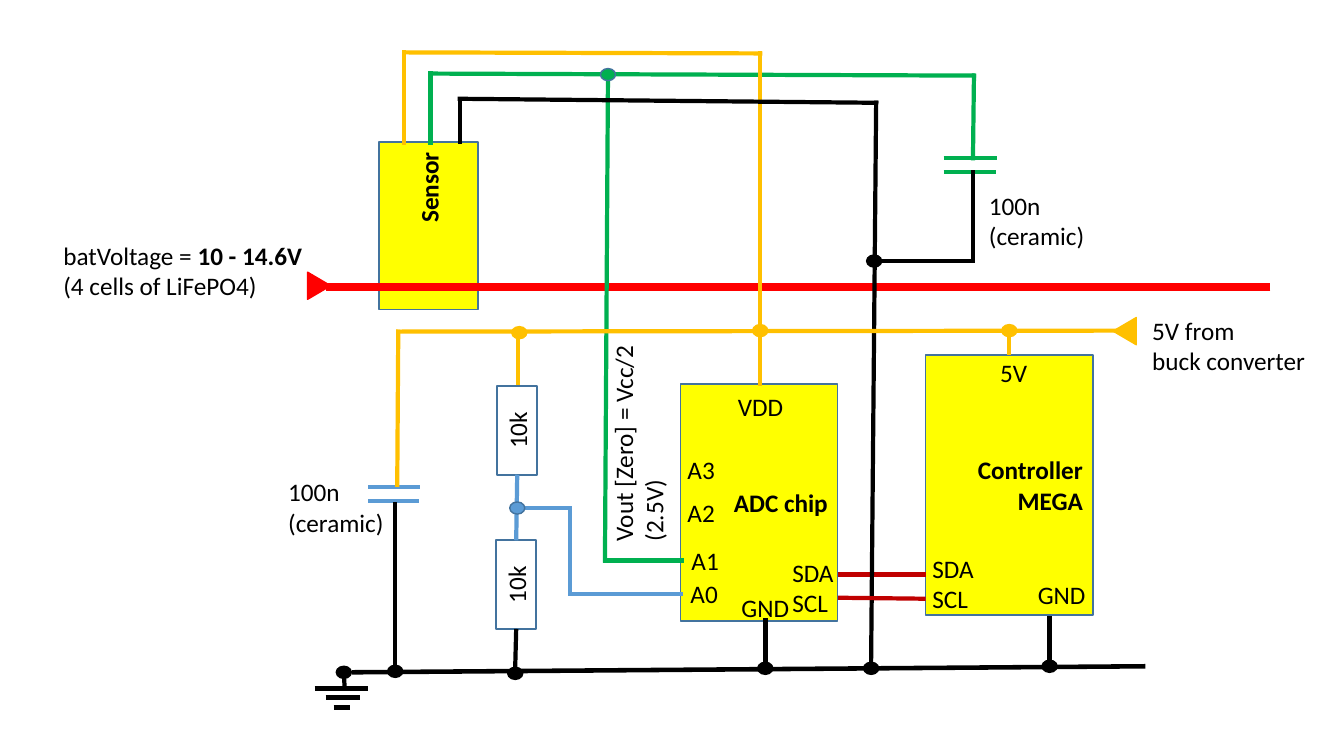
"""Builds a one-slide wiring diagram of a battery monitor."""
from lxml import etree
from pptx import Presentation
from pptx.dml.color import RGBColor
from pptx.enum.shapes import MSO_CONNECTOR, MSO_SHAPE
from pptx.enum.text import MSO_ANCHOR, MSO_AUTO_SIZE, PP_ALIGN
from pptx.oxml.ns import qn
from pptx.util import Inches, Pt

COLS, ROWS = 1333, 750
WIDTH, HEIGHT = Inches(13.33), Inches(7.5)
COLORS = {
    "black": "000000", "yellow": "FFFF00", "amber": "FFC000", "red": "FF0000",
    "crimson": "C00000", "green": "00B050", "blue": "5B9BD5", "edge": "43739E",
}
ALIGN = {"l": PP_ALIGN.LEFT, "c": PP_ALIGN.CENTER, "r": PP_ALIGN.RIGHT}

# text, (left, top, width, height), rotation, fill, line width
BOXES = [
    ("Controller MEGA", (918, 352, 166, 258), 0, "yellow", 1),
    ("Sensor", (342, 175, 166, 98), 270, "yellow", 1),
    ("ADC chip", (675, 381, 156, 235), 0, "yellow", 1),
    ("10k", (469, 407, 88, 40), 270, None, 1.5),
    ("10k", (468, 560, 88, 40), 270, None, 1.5),
]
# colour, width, corner points
WIRES = [
    ("blue", 3, [(520, 504), (565, 504), (565, 589), (675, 589)]),
    ("black", 3, [(512, 624), (511, 662)]),
    ("blue", 3, [(513, 471), (512, 536)]),
    ("black", 3.25, [(1041, 662), (1041, 611)]),
    ("black", 3.25, [(349, 667), (1136, 661)]),
    ("crimson", 3, [(831, 570), (918, 570)]),
    ("red", 6, [(1260, 285), (323, 285)]),
    ("amber", 3, [(514, 382), (514, 327)]),
    ("green", 3, [(427, 142), (427, 73), (966, 75), (965, 157)]),
    ("green", 3, [(603, 75), (600, 556), (676, 556)]),
    ("amber", 3, [(401, 142), (401, 52), (754, 53), (754, 325)]),
    ("black", 3, [(456, 141), (456, 98), (869, 102), (864, 657)]),
    ("crimson", 3, [(831, 593), (918, 594)]),
    ("black", 3.25, [(759, 664), (759, 613)]),
    ("blue", 3, [(365, 483), (417, 483)]),
    ("blue", 3, [(365, 497), (416, 497)]),
    ("black", 3, [(392, 665), (392, 498)]),
    ("green", 3, [(936, 157), (989, 157)]),
    ("green", 3, [(936, 171), (988, 171)]),
    ("black", 3, [(965, 171), (965, 259), (874, 259)]),
    ("amber", 3, [(394, 481), (395, 329), (1107, 328)]),
    ("amber", 3, [(754, 383), (754, 328)]),
    ("amber", 3, [(1001, 352), (1001, 330)]),
]
GROUND_BARS = [
    [(312, 683), (365, 683)], [(331, 702), (347, 702)],
    [(342, 685), (341, 667)], [(323, 692), (357, 692)],
]
GROUND_DOT = (341, 667)
# fill, line, centres
DOTS = [
    ("black", "black", [(511, 668), (1041, 661), (864, 663), (759, 663), (392, 666), (867, 259)]),
    ("amber", "amber", [(754, 328), (1001, 328), (515, 330)]),
    ("blue", "edge", [(513, 504)]),
    ("green", "edge", [(603, 74)]),
]
ARROWS = [("red", (303, 272, 27, 23), 90), ("amber", (1102, 317, 27, 23), 270)]
# lines, (left, top, width, height), alignment, rotation
LABELS = [
    ([["batVoltage = ", ("10 - 14.6V",)], "(4 cells of LiFePO4)"], (53, 233, 293, 71), "l", 0),
    (["GND"], (1015, 570, 76, 40), "c", 0),
    (["A0"], (675, 569, 52, 40), "l", 0),
    (["A1"], (676, 536, 52, 40), "l", 0),
    (["A2"], (672, 488, 52, 40), "l", 0),
    (["A3"], (672, 446, 52, 40), "l", 0),
    (["SDA", "SCL"], (915, 544, 123, 71), "l", 0),
    (["SDA", "SCL"], (776, 548, 123, 71), "l", 0),
    (["GND"], (721, 583, 76, 40), "c", 0),
    (["VDD"], (722, 383, 69, 40), "l", 0),
    (["5V"], (982, 350, 80, 40), "l", 0),
    (["100n", "(ceramic)"], (276, 468, 132, 71), "l", 0),
    (["100n", "(ceramic)"], (971, 184, 132, 71), "l", 0),
    (["Vout [Zero] = Vcc/2", "(2.5V)"], (525, 403, 217, 71), "l", 270),
    (["5V from", "buck converter"], (1133, 308, 177, 71), "l", 0),
]


def rgb(name):
    """Return a palette colour."""
    return RGBColor.from_string(COLORS[name])


def grid(*cells):
    """Turn alternating column and row counts into lengths."""
    return [round(c * (HEIGHT / ROWS if i % 2 else WIDTH / COLS)) for i, c in enumerate(cells)]


def write(sp, lines, align="l", bold=False, wrap=True, anchor=MSO_ANCHOR.TOP):
    """Write lines; a tuple inside a line is a bold run."""
    tf = sp.text_frame
    tf.word_wrap, tf.vertical_anchor = wrap, anchor
    for i, line in enumerate(lines):
        p = tf.add_paragraph() if i else tf.paragraphs[0]
        p.alignment = ALIGN[align]
        for part in [line] if isinstance(line, str) else line:
            strong = isinstance(part, tuple)
            r = p.add_run()
            r.text = part[0] if strong else part
            r.font.name, r.font.size = "Calibri", Pt(18)
            r.font.bold = bold or strong
            r.font.color.rgb = rgb("black")


def add_shape(shapes, kind, box, fill, line, width=1, rotation=0):
    """Add a flat preset shape."""
    sp = shapes.add_shape(kind, *grid(*box))
    sp.shadow.inherit = False
    sp.rotation = rotation
    if fill:
        sp.fill.solid()
        sp.fill.fore_color.rgb = rgb(fill)
    else:
        sp.fill.background()
    sp.line.color.rgb, sp.line.width = rgb(line), Pt(width)
    return sp


def add_dot(shapes, centre, fill, line):
    """Add a junction dot around its centre."""
    x, y = centre
    add_shape(shapes, MSO_SHAPE.OVAL, (x - 7.5, y - 6, 15, 12), fill, line)


def find_sites(sp, box, rotation):
    """List the side middles of a box as (point, shape, site number)."""
    x, y, w, h = box
    cx, cy = x + w / 2, y + h / 2
    if rotation:
        w, h = h, w
    middles = [(cx, cy - h / 2), (cx - w / 2, cy), (cx, cy + h / 2), (cx + w / 2, cy)]
    return [(point, sp, (i + 3) % 4 if rotation else i) for i, point in enumerate(middles)]


def add_wire(shapes, points, color, width, sites=()):
    """Add straight pieces between points, joined to any side middle they touch."""
    for start, end in zip(points, points[1:]):
        c = shapes.add_connector(MSO_CONNECTOR.STRAIGHT, *grid(*start, *end))
        for point, join in ((start, c.begin_connect), (end, c.end_connect)):
            for middle, sp, number in sites:
                if max(abs(a - b) for a, b in zip(point, middle)) <= 3:
                    join(sp, number)
        (c.begin_x, c.begin_y), (c.end_x, c.end_y) = grid(*start), grid(*end)
        c.line.color.rgb, c.line.width = rgb(color), Pt(width)
        if len(points) > 2:
            c.line._get_or_add_ln().set("cap", "sq")
        etree.SubElement(c._element.spPr, qn("a:effectLst"))


def main():
    """Draw the diagram and save it."""
    prs = Presentation()
    prs.slide_width, prs.slide_height = WIDTH, HEIGHT
    shapes = prs.slides.add_slide(prs.slide_layouts[6]).shapes

    sites = []
    for text, box, rotation, fill, width in BOXES:
        sp = add_shape(shapes, MSO_SHAPE.RECTANGLE, box, fill, "edge", width, rotation)
        write(sp, [text], align="r" if fill else "c", bold=bool(fill),
              anchor=MSO_ANCHOR.MIDDLE if fill else MSO_ANCHOR.TOP)
        sites += find_sites(sp, box, rotation)
    for color, width, points in WIRES:
        add_wire(shapes, points, color, width, sites)

    ground = shapes.add_group_shape().shapes
    for points in GROUND_BARS:
        add_wire(ground, points, "black", 3)
    add_dot(ground, GROUND_DOT, "black", "black")

    for fill, line, centres in DOTS:
        for centre in centres:
            add_dot(shapes, centre, fill, line)
    for color, box, rotation in ARROWS:
        add_shape(shapes, MSO_SHAPE.ISOSCELES_TRIANGLE, box, color, color, rotation=rotation)
    for lines, box, align, rotation in LABELS:
        sp = shapes.add_textbox(*grid(*box))
        sp.rotation = rotation
        write(sp, lines, align=align, wrap=not rotation)
        sp.text_frame.auto_size = MSO_AUTO_SIZE.SHAPE_TO_FIT_TEXT
    prs.save("out.pptx")


if __name__ == "__main__":
    main()
